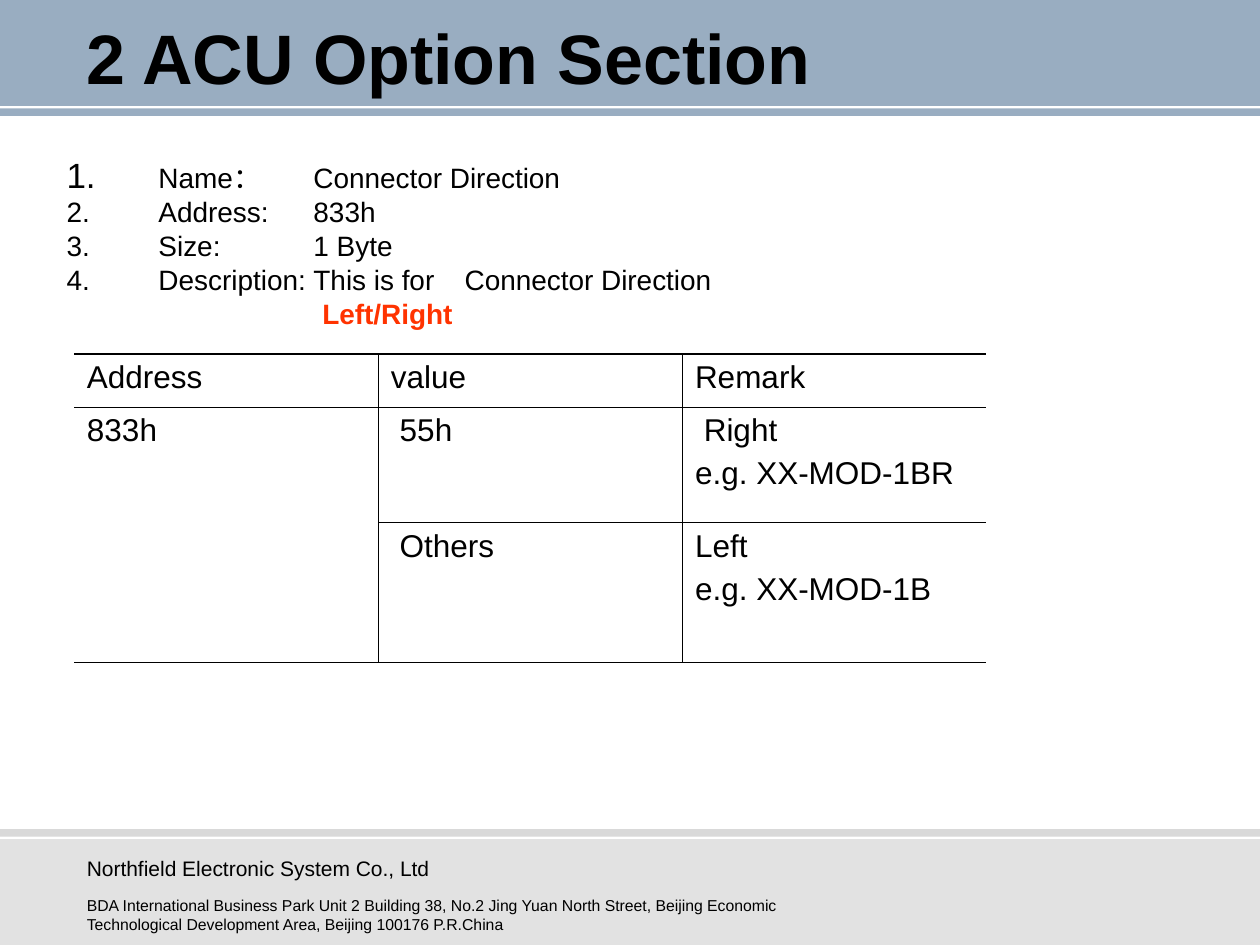
import dataclasses

import pptx
import pptx.dml.color
import pptx.enum.shapes
import pptx.enum.text
import pptx.oxml
import pptx.oxml.ns
import pptx.util
from lxml import etree


@dataclasses.dataclass(frozen=True)
class Theme:
    font: str = "Arial"
    ink: str = "000000"
    accent: str = "FF3300"
    header: str = "003366"
    footer: str = "C0C0C0"
    title_size: float = 40
    number_size: float = 20
    table_size: float = 18
    list_size: float = 16
    company_size: float = 12
    address_size: float = 9
    outer_line: float = 1.08
    inner_line: float = 0.45


def add_xml(parent, tag, **attributes):
    return etree.SubElement(parent, pptx.oxml.ns.qn(tag), attributes)


class SlideBuilder:
    """Draws on one slide, with lengths in cells of a 100 by 75 grid."""

    COLUMNS, ROWS = 100, 75

    def __init__(self, presentation, theme):
        self.theme = theme
        self.column = presentation.slide_width / self.COLUMNS
        self.row = presentation.slide_height / self.ROWS
        self.slide = presentation.slides.add_slide(presentation.slide_layouts[6])

    def x(self, columns):
        return pptx.util.Emu(round(columns * self.column))

    def y(self, rows):
        return pptx.util.Emu(round(rows * self.row))

    def place(self, left, top, width, height):
        return self.x(left), self.y(top), self.x(width), self.y(height)

    def band(self, top, height, color, opacity):
        """A translucent strip across the full slide width."""
        strip = self.slide.shapes.add_shape(
            pptx.enum.shapes.MSO_SHAPE.RECTANGLE,
            *self.place(0, top, self.COLUMNS, height))
        strip.shadow.inherit = False
        strip.line.fill.background()
        strip.fill.solid()
        strip.fill.fore_color.rgb = pptx.dml.color.RGBColor.from_string(color)
        tint = strip.fill._xPr.find(".//" + pptx.oxml.ns.qn("a:srgbClr"))
        add_xml(tint, "a:alpha", val=str(opacity * 1000))

    def run(self, paragraph, wording, size, color=None, bold=False):
        run = paragraph.add_run()
        run.text = wording
        run.font.name = self.theme.font
        run.font.size = pptx.util.Pt(size)
        run.font.bold = bold
        run.font.color.rgb = pptx.dml.color.RGBColor.from_string(color or self.theme.ink)

    def frame(self, *box):
        frame = self.slide.shapes.add_textbox(*self.place(*box)).text_frame
        frame.word_wrap = True
        return frame

    def text(self, box, wording, size, bold=False, middle=False):
        frame = self.frame(*box)
        if middle:
            frame.vertical_anchor = pptx.enum.text.MSO_ANCHOR.MIDDLE
        self.run(frame.paragraphs[0], wording, size, bold=bold)

    def paragraphs(self, frame, count, space):
        """Yield count paragraphs, spaced apart after the first."""
        for index in range(count):
            paragraph = frame.add_paragraph() if index else frame.paragraphs[0]
            if index:
                paragraph.space_before = pptx.util.Pt(space)
            yield paragraph

    def numbered_list(self, box, items, closing, hang, tabs, closing_indent):
        """Numbered label and value lines, then an unnumbered highlighted line."""
        lines = list(self.paragraphs(self.frame(*box), len(items) + 1, 4))
        for index, (paragraph, item) in enumerate(zip(lines, items)):
            paragraph.line_spacing = 0.8
            properties = paragraph._p.get_or_add_pPr()
            properties.set("marL", str(self.x(hang)))
            properties.set("indent", str(-self.x(hang)))
            if index == 0:
                percent = self.theme.number_size / self.theme.list_size * 100000
                add_xml(properties, "a:buSzPct", val=str(round(percent)))
            add_xml(properties, "a:buFont", typeface=self.theme.font)
            add_xml(properties, "a:buAutoNum", type="arabicPeriod")
            stops = add_xml(properties, "a:tabLst")
            for tab in tabs:
                add_xml(stops, "a:tab", pos=str(self.x(tab)), algn="l")
            self.run(paragraph, "\t".join(item), self.theme.list_size)
        lines[-1].line_spacing = 0.8
        lines[-1]._p.get_or_add_pPr().set("marL", str(self.x(closing_indent)))
        self.run(lines[-1], closing, self.theme.list_size, self.theme.accent, True)

    def borders(self, cell, widths):
        """Set left, right, top and bottom lines; a width of None hides one."""
        properties = cell._tc.get_or_add_tcPr()
        for position, (side, width) in enumerate(zip("LRTB", widths)):
            line = etree.Element(pptx.oxml.ns.qn("a:ln" + side))
            if width:
                line.set("w", str(pptx.util.Pt(width)))
                fill = add_xml(line, "a:solidFill")
                add_xml(fill, "a:srgbClr", val=self.theme.ink)
            else:
                add_xml(line, "a:noFill")
            properties.insert(position, line)

    def table(self, left, top, column_width, row_heights, rows):
        """A ruled table, open at the sides; a None cell joins the one above."""
        last_row, last_column = len(rows) - 1, len(rows[0]) - 1
        table = self.slide.shapes.add_table(
            len(rows), len(rows[0]),
            *self.place(left, top, column_width * len(rows[0]), sum(row_heights))).table
        table.first_row = table.horz_banding = False
        for column in table.columns:
            column.width = self.x(column_width)
        inner, outer = self.theme.inner_line, self.theme.outer_line
        for r, cells in enumerate(rows):
            table.rows[r].height = self.y(row_heights[r])
            for c, wording in enumerate(cells):
                cell = table.cell(r, c)
                cell.fill.background()
                joined = wording is None
                joins_next = r < last_row and rows[r + 1][c] is None
                self.borders(cell, (
                    inner if c else None,
                    inner if c < last_column else None,
                    None if joined else inner if r else outer,
                    outer if r == last_row or joins_next else inner))
                if joined:
                    table.cell(r - 1, c).merge(cell)
                    continue
                lines = self.paragraphs(cell.text_frame, len(wording), 4.5)
                for paragraph, line in zip(lines, wording):
                    self.run(paragraph, line, self.theme.table_size)


def main():
    presentation = pptx.Presentation()
    presentation.slide_width = pptx.util.Inches(10)
    presentation.slide_height = pptx.util.Inches(7.5)
    theme = Theme()
    page = SlideBuilder(presentation, theme)
    margin = 5.9

    for top, height, color, opacity in (
            (0, 8.4, theme.header, 40), (8.6, 0.6, theme.header, 40),
            (65.8, 0.6, theme.footer, 60), (66.6, 8.4, theme.footer, 46)):
        page.band(top, height, color, opacity)

    page.text((margin, 1.3, 88, 6.3), "2 ACU Option Section",
              theme.title_size, bold=True, middle=True)
    page.text((margin, 67.4, 63.8, 3.1), "Northfield Electronic System Co., Ltd",
              theme.company_size)
    page.text((margin, 70.6, 63.8, 4.4),
              "BDA International Business Park Unit 2 Building 38, "
              "No.2 Jing Yuan North Street, Beijing Economic "
              "Technological Development Area, Beijing 100176 P.R.China",
              theme.address_size)

    page.numbered_list(
        (4.3, 12.8, 89, 15.2),
        [("Name：", "Connector Direction"),
         ("Address:", "833h"),
         ("Size:", "1 Byte"),
         ("Description:", "This is for", "Connector Direction")],
        "Left/Right", hang=7.3, tabs=(19.6, 31.6), closing_indent=20.3)

    page.table(margin, 28.1, 24.13, (4.2, 9.2, 11.1), [
        [["Address"], ["value"], ["Remark"]],
        [["833h"], [" 55h"], [" Right", "e.g. XX-MOD-1BR"]],
        [None, [" Others"], ["Left", "e.g. XX-MOD-1B"]]])

    presentation.save("out.pptx")


if __name__ == "__main__":
    main()
